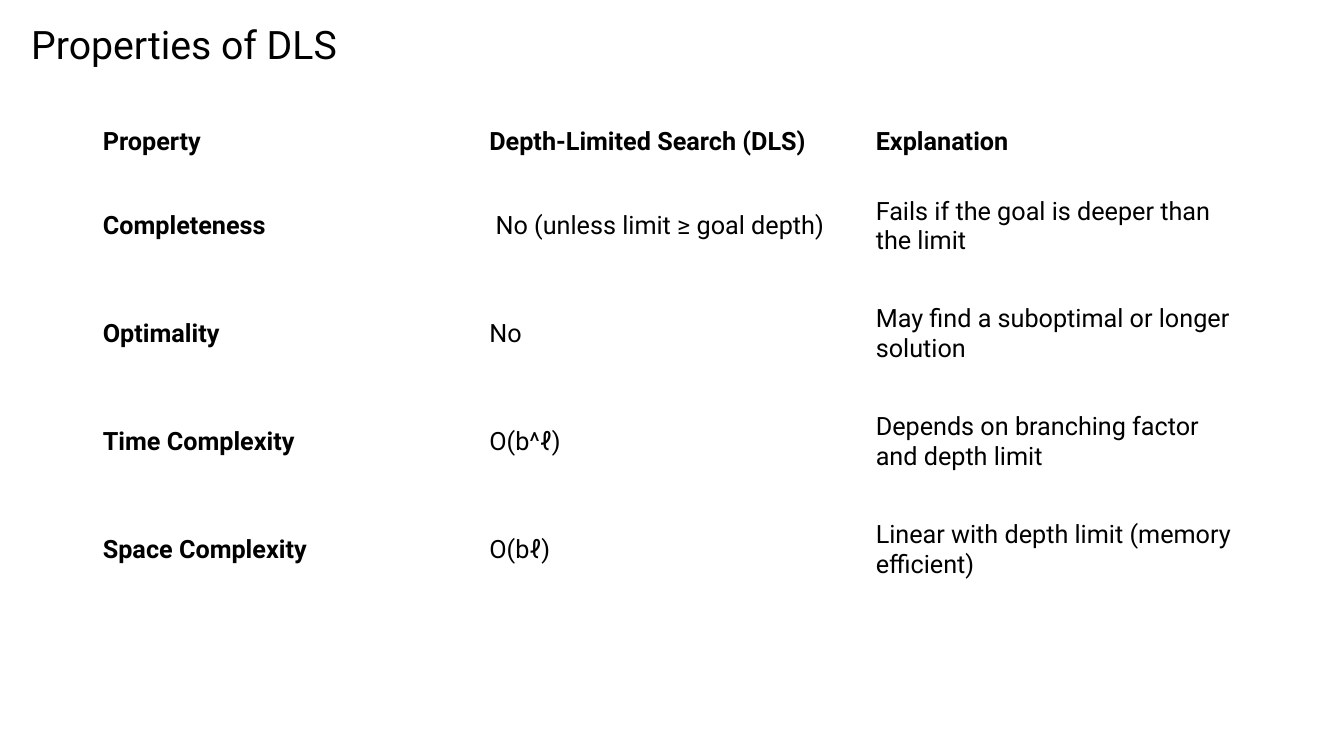
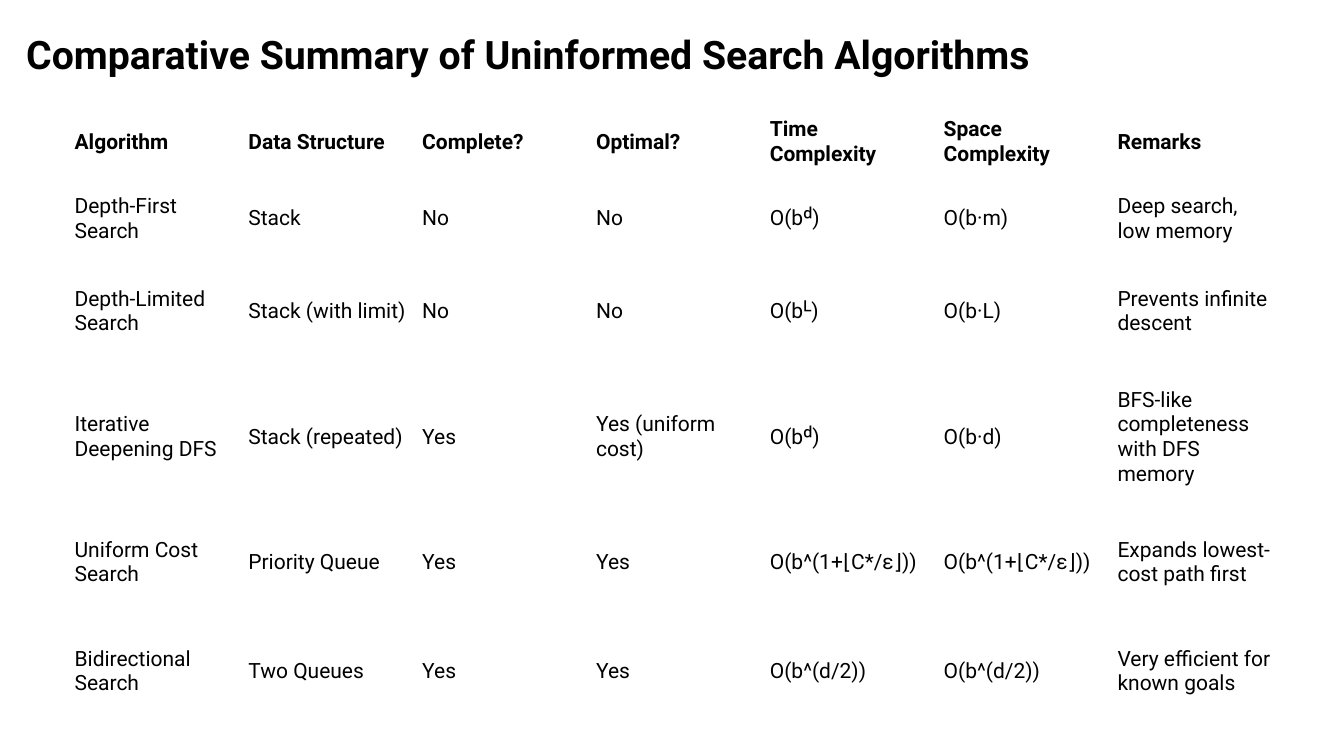
from pptx import Presentation
from pptx.dml.color import RGBColor
from pptx.enum.text import MSO_ANCHOR, MSO_AUTO_SIZE, PP_ALIGN
from pptx.util import Inches, Pt

TOP, MIDDLE = MSO_ANCHOR.TOP, MSO_ANCHOR.MIDDLE
LEFT = PP_ALIGN.LEFT
NO_FIT = MSO_AUTO_SIZE.NONE
TITLE_ONLY = 5

COLORS = {"text": "000000", "background": "FFFFFF"}

DLS_ROWS = [
    ("Property", "Depth-Limited Search (DLS)", "Explanation"),
    ("Completeness", " No (unless limit ≥ goal depth)", "Fails if the goal is deeper than the limit"),
    ("Optimality", "No", "May find a suboptimal or longer solution"),
    ("Time Complexity", "O(b^ℓ)", "Depends on branching factor and depth limit"),
    ("Space Complexity", "O(bℓ)", "Linear with depth limit (memory efficient)"),
]

SUMMARY_ROWS = [
    ("Algorithm", "Data Structure", "Complete?", "Optimal?",
     "Time Complexity", "Space Complexity", "Remarks"),
    ("Depth-First Search", "Stack", "No", "No",
     "O(bᵈ)", "O(b·m)", "Deep search, low memory"),
    ("Depth-Limited Search", "Stack (with limit)", "No", "No",
     "O(bᴸ)", "O(b·L)", "Prevents infinite descent"),
    ("Iterative Deepening DFS", "Stack (repeated)", "Yes", "Yes (uniform cost)",
     "O(bᵈ)", "O(b·d)", "BFS-like completeness with DFS memory"),
    ("Uniform Cost Search", "Priority Queue", "Yes", "Yes",
     "O(b^(1+⌊C*/ε⌋))", "O(b^(1+⌊C*/ε⌋))", "Expands lowest-cost path first"),
    ("Bidirectional Search", "Two Queues", "Yes", "Yes",
     "O(b^(d/2))", "O(b^(d/2))", "Very efficient for known goals"),
]


def apply(obj, values):
    for name, value in values.items():
        setattr(obj, name, value)


class Deck:
    font = "Roboto"
    title_size = 28

    def __init__(self):
        self.prs = Presentation()
        apply(self.prs, {"slide_width": Inches(13.33), "slide_height": Inches(7.5)})
        self.s = None

    def add_slide(self):
        self.s = self.prs.slides.add_slide(self.prs.slide_layouts[TITLE_ONLY])
        fill = self.s.background.fill
        fill.solid()
        fill.fore_color.rgb = RGBColor.from_string(COLORS["background"])

    def add_text(self, tf, text, size, bold):
        p = tf.paragraphs[0]
        p.alignment = LEFT
        r = p.add_run()
        r.text = text
        apply(r.font, {"name": self.font, "size": Pt(size), "bold": bold})
        r.font.color.rgb = RGBColor.from_string(COLORS["text"])
        return p

    def title(self, text, left, top, bold=False):
        sp = self.s.shapes.title
        apply(sp, {"left": Inches(left), "top": Inches(top),
                   "width": Inches(12.8), "height": Inches(0.6)})
        tf = sp.text_frame
        apply(tf, {"word_wrap": True, "auto_size": NO_FIT, "vertical_anchor": TOP})
        p = self.add_text(tf, text, self.title_size, bold)
        p.line_spacing = 0.9

    def table(self, rows, left, top, width, heights, size, margins, bold_labels=False):
        cols = len(rows[0])
        frame = self.s.shapes.add_table(len(rows), cols, Inches(left), Inches(top),
                                        Inches(width), Inches(sum(heights)))
        table = frame.table
        apply(table, {"first_row": False, "horz_banding": False})
        for col in table.columns:
            col.width = Inches(width / cols)
        for row, height in zip(table.rows, heights):
            row.height = Inches(height)
        side, edge = (Inches(m) for m in margins)
        cell_format = {"margin_left": side, "margin_right": side, "margin_top": edge,
                       "margin_bottom": edge, "vertical_anchor": MIDDLE}
        for i, texts in enumerate(rows):
            for j, text in enumerate(texts):
                cell = table.cell(i, j)
                cell.fill.background()
                apply(cell, cell_format)
                self.add_text(cell.text_frame, text, size, i == 0 or (bold_labels and j == 0))


def main():
    deck = Deck()

    deck.add_slide()
    deck.title("Properties of DLS", 0.21, 0.2)
    deck.table(DLS_ROWS, 0.92, 1.1, 11.5, [0.61] + [1.07] * 4, 18, (0.1, 0.05),
               bold_labels=True)

    deck.add_slide()
    deck.title("Comparative Summary of Uninformed Search Algorithms", 0.16, 0.3, bold=True)
    deck.table(SUMMARY_ROWS, 0.66, 1.03, 12.07, [0.76, 0.76, 1.08, 1.41, 1.08, 1.08], 15,
               (0.08, 0.04))

    deck.prs.save("out.pptx")


if __name__ == "__main__":
    main()
